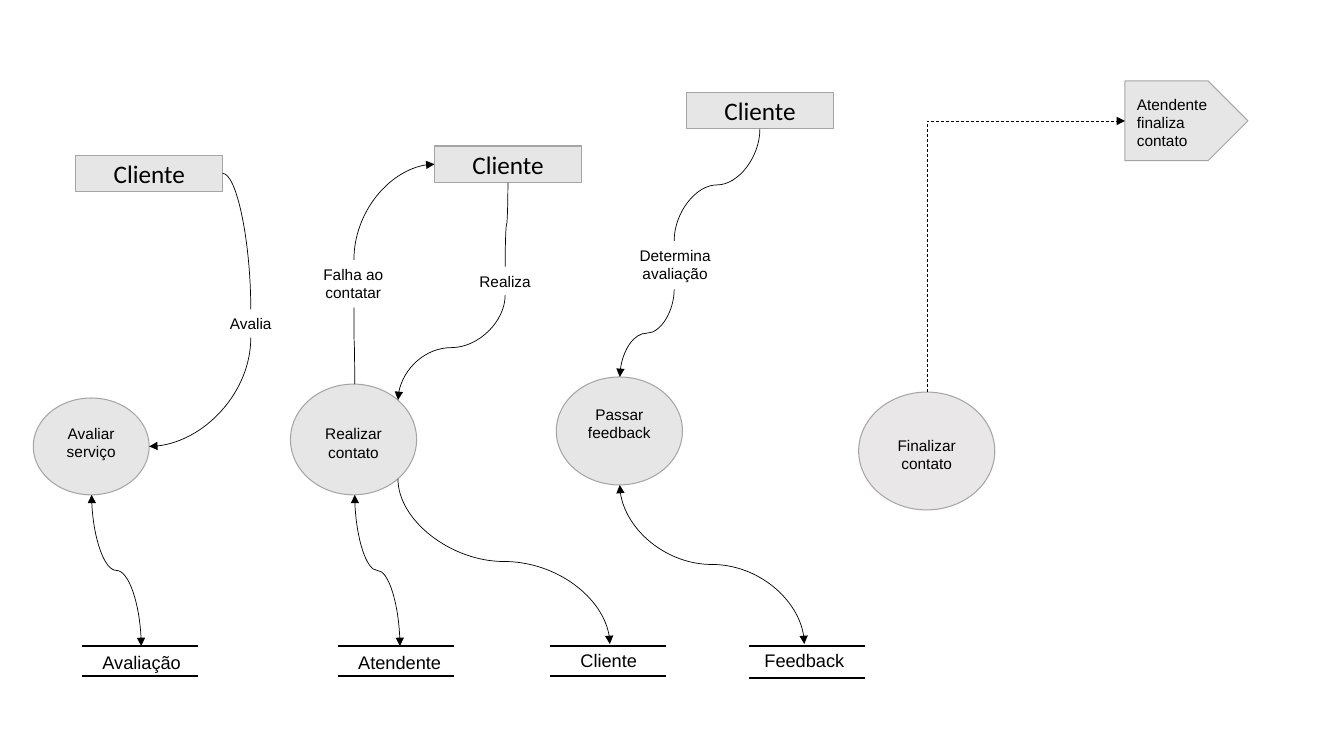
"""Draws a data flow diagram of customer contact, rating and feedback."""
from lxml.etree import SubElement
from pptx import Presentation
from pptx.dml.color import RGBColor
from pptx.enum.dml import MSO_LINE
from pptx.enum.shapes import MSO_CONNECTOR as Link, MSO_SHAPE as Form
from pptx.enum.text import MSO_ANCHOR as Anchor, MSO_AUTO_SIZE as Fit, PP_ALIGN as Align
from pptx.oxml.ns import qn
from pptx.util import Cm, Pt


def tint(code):
    return RGBColor.from_string(code)


class Board:
    ink, gray, edge = "000000", "E7E6E6", "A5A5A5"

    def __init__(self, slide):
        self.shapes = slide.shapes

    def words(self, frame, text, size, face="Arial", align=Align.CENTER):
        frame.word_wrap = True
        para = frame.paragraphs[0]
        para.text = text
        para.alignment = align
        para.font.size = Pt(size)
        para.font.name = face
        para.font.color.rgb = tint(self.ink)
        return para

    def block(self, form, box, fill=gray):
        shape = self.shapes.add_shape(form, *map(Cm, box))
        shape.shadow.inherit = False
        shape.fill.solid()
        shape.fill.fore_color.rgb = tint(fill)
        shape.line.color.rgb = tint(self.edge)
        shape.line.width = Pt(0.75)
        return shape

    def actor(self, x, y, text):
        frame = self.block(Form.RECTANGLE, (x, y, 3.71, 0.91)).text_frame
        frame.vertical_anchor = Anchor.MIDDLE
        self.words(frame, text, 18, "Calibri")

    def task(self, box, text, anchor, fill=gray):
        frame = self.block(Form.OVAL, box, fill).text_frame
        frame.vertical_anchor = anchor
        frame.margin_top = Cm(0.3)
        self.words(frame, text, 11).space_before = Pt(2.2)

    def label(self, box, text, size=11, align=Align.CENTER, anchor=Anchor.TOP):
        frame = self.shapes.add_textbox(*map(Cm, box)).text_frame
        frame.auto_size = Fit.SHAPE_TO_FIT_TEXT
        frame.vertical_anchor = anchor
        self.words(frame, text, size, align=align)

    def line(self, kind, start, end, width):
        link = self.shapes.add_connector(kind, *map(Cm, start + end))
        link.line.color.rgb = tint(self.ink)
        link.line.width = Pt(width)
        SubElement(link._element.spPr, qn("a:effectLst"))
        return link

    def store(self, x, low, box, text):
        for y in (16.28, low):
            self.line(Link.STRAIGHT, (x, y), (x + 2.92, y), 1.5)
        self.label(box, text, 13, anchor=Anchor.MIDDLE)

    def flow(self, start, end, heads="", preset="curvedConnector3", dash=False):
        link = self.line(Link.CURVE, start, end, 0.5)
        (x1, y1), (x2, y2) = start, end
        wide, high = abs(y2 - y1), abs(x2 - x1)
        link.left, link.top = Cm((x1 + x2 - wide) / 2), Cm((y1 + y2 - high) / 2)
        link.width, link.height = Cm(wide), Cm(high)
        props = link._element.spPr
        props.find(qn("a:prstGeom")).set("prst", preset)
        frame = props.find(qn("a:xfrm"))
        turn = 270 if (x2 - x1) * (y2 - y1) > 0 else 90
        frame.set("rot", str(turn * 60000))
        frame.set("flipH", str(int(x2 > x1)))
        frame.set("flipV", str(int(y2 < y1)))
        if dash:
            link.line.dash_style = MSO_LINE.DASH
        for head in heads.split():
            SubElement(props.find(qn("a:ln")), qn(f"a:{head}"), type="triangle")


def main():
    deck = Presentation()
    deck.slide_width, deck.slide_height = Cm(33.87), Cm(19.05)
    board = Board(deck.slides.add_slide(deck.slide_layouts[6]))

    for x, y in ((1.91, 3.91), (10.95, 3.68), (17.3, 2.34)):
        board.actor(x, y, "Cliente")

    board.task((0.84, 10.03, 2.92, 2.44), "Avaliar serviço", Anchor.TOP)
    board.task((7.32, 9.68, 3.18, 2.79), "Realizar contato", Anchor.MIDDLE)
    board.task((14.02, 9.5, 3.18, 2.72), "Passar feedback", Anchor.TOP)
    board.task((21.64, 9.88, 3.43, 2.97), "Finalizar contato", Anchor.MIDDLE, "E9E7E7")

    board.store(2.07, 17.04, (2.31, 16.28, 2.52, 0.81), "Avaliação")
    board.store(8.51, 17.04, (8.71, 16.28, 2.72, 0.81), "Atendente")
    board.store(13.87, 17.04, (13.84, 16.23, 3, 0.81), "Cliente")
    board.store(18.87, 17.09, (18.77, 16.23, 3, 0.81), "Feedback")

    board.block(Form.PENTAGON, (28.35, 2.04, 3.1, 2.01))
    board.label((28.4, 2.26, 2.64, 1.68), "Atendente finaliza contato", align=Align.LEFT)
    board.label((5.38, 7.8, 1.88, 0.74), "Avalia")
    board.label((11.79, 6.73, 1.88, 0.74), "Realiza")
    board.label((7.7, 6.55, 2.41, 1.19), "Falha ao contatar")
    board.label((15.34, 6.07, 3.35, 1.19), "Determina avaliação")

    one, two = "tailEnd", "headEnd tailEnd"
    arc = "curvedConnector2"
    board.flow((23.37, 9.88), (28.35, 3.05), one, "bentConnector2", True)
    board.flow((6.32, 7.8), (5.61, 4.37), preset=arc)
    board.flow((6.32, 8.51), (3.76, 11.25), one, arc)
    board.flow((8.92, 6.55), (10.95, 4.14), one, arc)
    board.flow((8.92, 7.75), (8.94, 9.68))
    board.flow((12.8, 4.6), (12.73, 6.73))
    board.flow((12.73, 7.44), (10.03, 10.08), one)
    board.flow((19.15, 3.25), (16.99, 6.07))
    board.flow((16.99, 7.29), (15.62, 9.5), one)
    board.flow((10.03, 12.07), (15.37, 16.23), one)
    board.flow((2.31, 12.47), (3.56, 16.28), two)
    board.flow((8.94, 12.47), (10.08, 16.28), two)
    board.flow((15.62, 12.22), (20.27, 16.23), two)

    deck.save("out.pptx")


if __name__ == "__main__":
    main()
